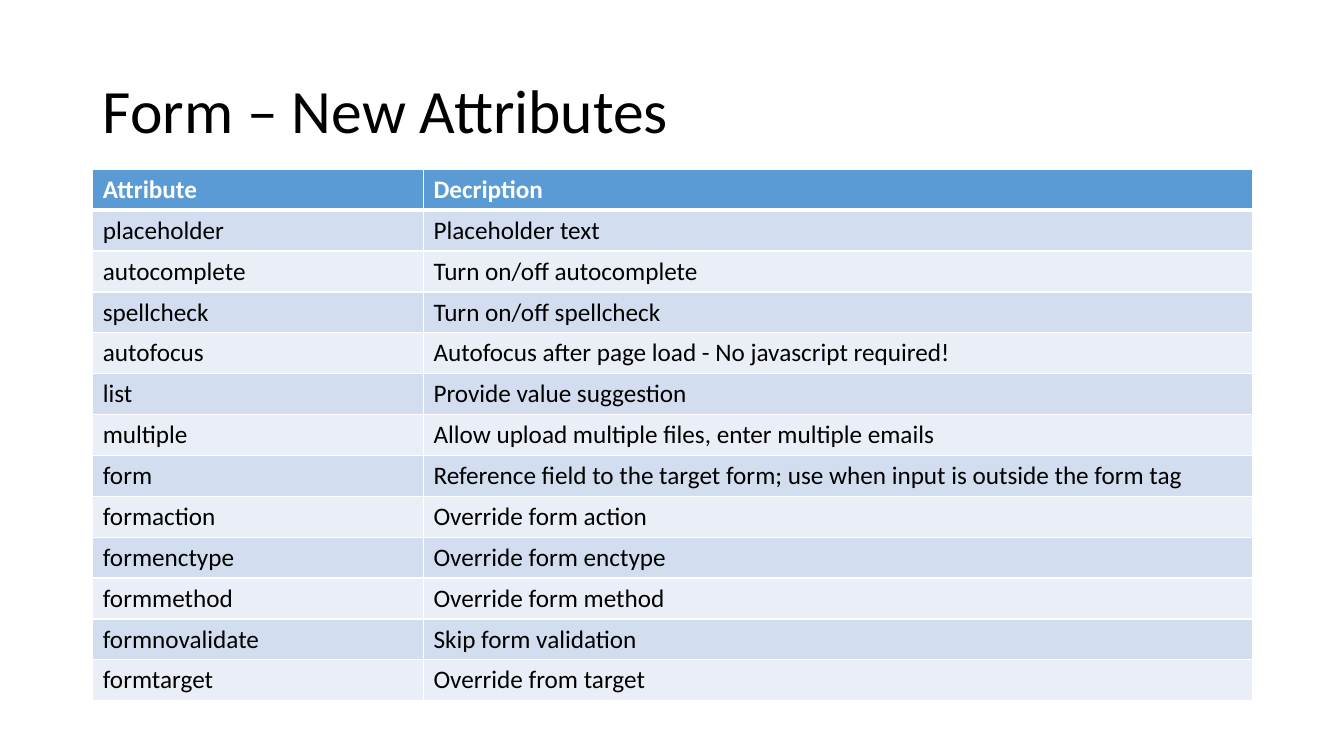
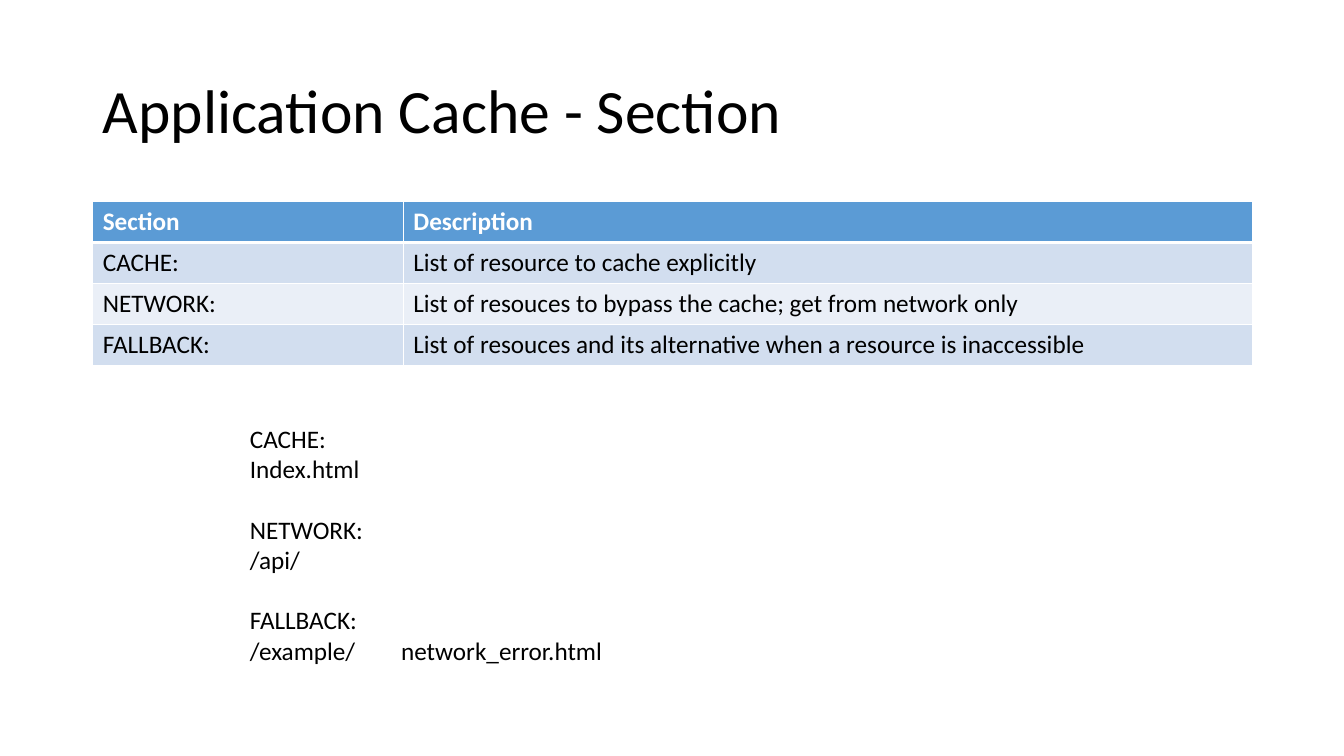
from lxml.etree import SubElement
from pptx import Presentation
from pptx.dml.color import RGBColor
from pptx.enum.text import MSO_ANCHOR, PP_ALIGN
from pptx.oxml.ns import qn
from pptx.util import Inches, Pt

WHITE = RGBColor(0xFF, 0xFF, 0xFF)
BLACK = RGBColor(0x00, 0x00, 0x00)
BLUE = RGBColor(0x5B, 0x9B, 0xD5)
BANDS = (RGBColor(0xEA, 0xEF, 0xF7), RGBColor(0xD2, 0xDE, 0xEF))

FONT = "Calibri"
TITLE = {"name": FONT, "size": Pt(44), "bold": False}
BODY = {"name": FONT, "size": Pt(18), "bold": False}
HEADER = {**BODY, "bold": True}

LEFT, WIDTH = 0.92, 11.5
TITLE_BOX = (LEFT, 0.4, WIDTH, 1.45)
ROW_HEIGHT = 0.405

ATTRIBUTES = [
    ("Attribute", "Decription"),
    ("placeholder", "Placeholder text"),
    ("autocomplete", "Turn on/off autocomplete"),
    ("spellcheck", "Turn on/off spellcheck"),
    ("autofocus", "Autofocus after page load - No javascript required!"),
    ("list", "Provide value suggestion"),
    ("multiple", "Allow upload multiple files, enter multiple emails"),
    ("form", "Reference field to the target form; use when input is outside the form tag"),
    ("formaction", "Override form action"),
    ("formenctype", "Override form enctype"),
    ("formmethod", "Override form method"),
    ("formnovalidate", "Skip form validation"),
    ("formtarget", "Override from target"),
]
SECTIONS = [
    ("Section", "Description"),
    ("CACHE:", "List of resource to cache explicitly"),
    ("NETWORK:", "List of resouces to bypass the cache; get from network only"),
    ("FALLBACK:", "List of resouces and its alternative when a resource is inaccessible"),
]
MANIFEST = [
    ("CACHE:", "Index.html"),
    ("NETWORK:", "/api/"),
    ("FALLBACK:", "/example/\tnetwork_error.html"),
]


def add_run(p, text, style, color):
    r = p.add_run()
    r.text = text
    for name, value in style.items():
        setattr(r.font, name, value)
    r.font.color.rgb = color


def add_titled_slide(prs, title):
    s = prs.slides.add_slide(prs.slide_layouts[5])
    sp = s.shapes.title
    sp.left, sp.top, sp.width, sp.height = map(Inches, TITLE_BOX)
    tf = sp.text_frame
    tf.vertical_anchor = MSO_ANCHOR.MIDDLE
    p = tf.paragraphs[0]
    p.alignment = PP_ALIGN.LEFT
    p.line_spacing = 0.9
    add_run(p, title, TITLE, BLACK)
    return s


def set_borders(cell, widths):
    tc_pr = cell._tc.get_or_add_tcPr()
    for side, width in widths.items():
        ln = SubElement(tc_pr, qn(f"a:ln{side}"), w=str(Pt(width)))
        fill = SubElement(ln, qn("a:solidFill"))
        SubElement(fill, qn("a:srgbClr"), val=str(WHITE))


def add_banded_table(s, left, top, width, first_width, rows):
    frame = s.shapes.add_table(
        len(rows), 2, Inches(left), Inches(top),
        Inches(width), Inches(ROW_HEIGHT * len(rows)))
    table = frame.table
    for column, size in zip(table.columns, (first_width, width - first_width)):
        column.width = Inches(size)
    for i, texts in enumerate(rows):
        is_header = i == 0
        table.rows[i].height = Inches(ROW_HEIGHT)
        for j, text in enumerate(texts):
            cell = table.cell(i, j)
            set_borders(cell, {"L": 1, "R": 1, "T": 3 if i == 1 else 1,
                               "B": 3 if is_header else 1})
            cell.fill.solid()
            cell.fill.fore_color.rgb = BLUE if is_header else BANDS[i % 2]
            add_run(cell.text_frame.paragraphs[0], text,
                    HEADER if is_header else BODY,
                    WHITE if is_header else BLACK)


def add_manifest(s, left, top, width, height, groups):
    sp = s.shapes.add_textbox(*map(Inches, (left, top, width, height)))
    tf = sp.text_frame
    tf.word_wrap = True
    for i, lines in enumerate(groups):
        for j, line in enumerate(lines):
            p = tf.paragraphs[0] if i == j == 0 else tf.add_paragraph()
            if i and j == 0:
                p.space_before = Pt(21.6)
            add_run(p, line, BODY, BLACK)


def add_attributes_slide(prs):
    s = add_titled_slide(prs, "Form – New Attributes")
    add_banded_table(s, LEFT, 1.68, WIDTH, 3.28, ATTRIBUTES)


def add_cache_slide(prs):
    s = add_titled_slide(prs, "Application Cache - Section")
    add_banded_table(s, LEFT, 2, WIDTH, 3.08, SECTIONS)
    add_manifest(s, 2.38, 4.15, 8.17, 2.52, MANIFEST)


def main():
    prs = Presentation()
    prs.slide_width, prs.slide_height = Inches(13.33), Inches(7.5)
    add_attributes_slide(prs)
    add_cache_slide(prs)
    prs.save("out.pptx")


if __name__ == "__main__":
    main()
